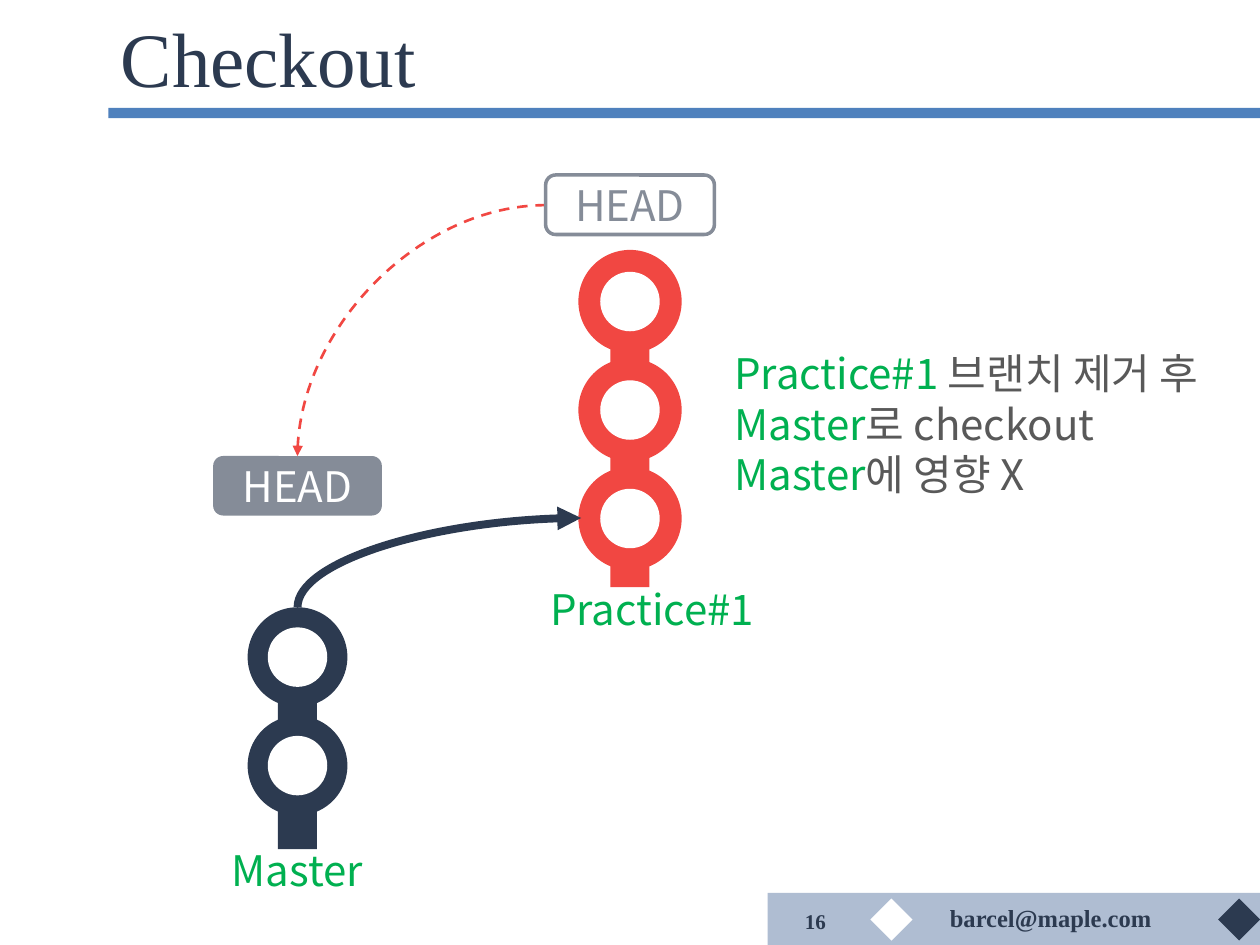
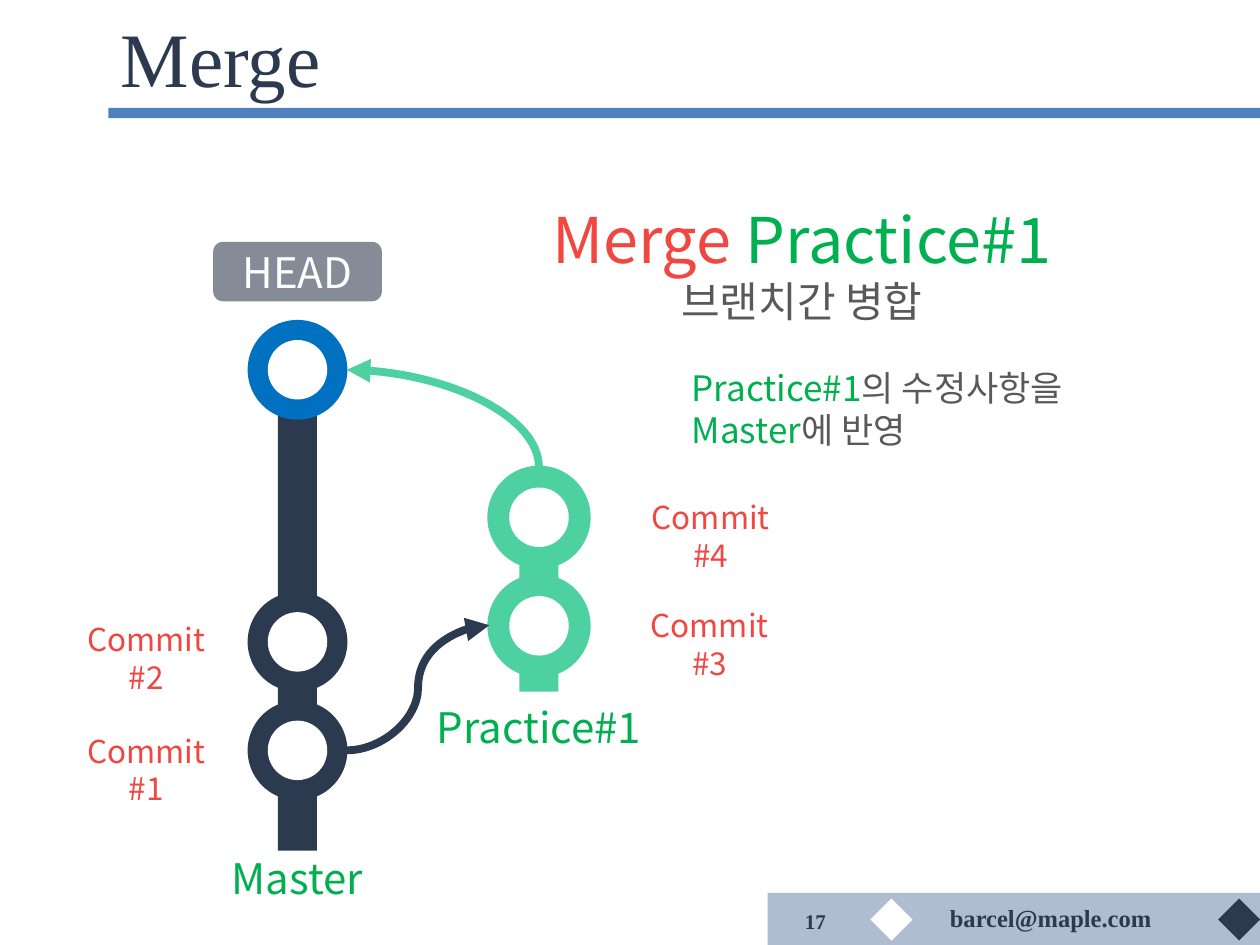
from dataclasses import dataclass
from lxml import etree
from pptx import Presentation
from pptx.dml.color import RGBColor
from pptx.enum.dml import MSO_LINE
from pptx.enum.shapes import MSO_CONNECTOR, MSO_SHAPE
from pptx.enum.text import MSO_ANCHOR, PP_ALIGN
from pptx.oxml.ns import qn
from pptx.util import Pt

RECTANGLE, ROUNDED, OVAL = MSO_SHAPE.RECTANGLE, MSO_SHAPE.ROUNDED_RECTANGLE, MSO_SHAPE.OVAL
LEFT, CENTER, RIGHT = PP_ALIGN.LEFT, PP_ALIGN.CENTER, PP_ALIGN.RIGHT
TOP, MIDDLE = MSO_ANCHOR.TOP, MSO_ANCHOR.MIDDLE
CURVE, DASH = MSO_CONNECTOR.CURVE, MSO_LINE.DASH


@dataclass(frozen=True)
class Theme:
    navy: str = "2C3A50"
    rule: str = "4F81BD"
    band: str = "788FB4"
    white: str = "FFFFFF"
    red: str = "F14742"
    mint: str = "4ED1A1"
    blue: str = "0070C0"
    green: str = "00B050"
    gray: str = "858C98"
    text: str = "595959"
    serif: str = "Times New Roman"
    sans: str = "Noto Sans CJK KR"
    title_size: int = 44
    big_size: int = 36
    label_size: int = 24
    note_size: int = 20
    commit_size: int = 18
    email_size: int = 14
    number_size: int = 12


theme = Theme()

# Content: all lengths in points
EMAIL = "barcel@maple.com"
MASTER_X = 170
NODE, HOLE, STEM = 57, 34, 22.4
STEP = 62  # distance between neighbouring commits

# chain: centre x, stem top and bottom, colour, outline width, commits (centre y, colour)
# label: text, centre x, top, width, size, colour
# note: left, top, width, alignment, lines of (size, runs)
# arrow: start, end, route, colour, width, dashed
SLIDES = [
    {
        "title": "Checkout", "number": 16,
        "chains": [
            (MASTER_X, 353.5, 485.3, theme.navy, 0,
             [(375.5 + STEP * i, theme.navy) for i in range(2)]),
            (360, 149, 335.5, theme.red, 2,
             [(172.3 + STEP * i, theme.red) for i in range(3)]),
        ],
        "labels": [
            ("Master", MASTER_X, 478.8, 119, theme.label_size, theme.green),
            ("Practice#1", 372.6, 329.8, 145, theme.label_size, theme.green),
        ],
        "notes": [
            (412.6, 195.1, 305, LEFT, [
                (theme.label_size, [("Practice#1 ", theme.green), ("브랜치 제거 후", theme.text)]),
                (theme.label_size, [("Master", theme.green), ("로 checkout", theme.text)]),
                (theme.label_size, [("Master", theme.green), ("에 영향 X", theme.text)]),
            ]),
        ],
        "heads": [(360, 100, False), (MASTER_X, 260.6, True)],
        "arrows": [
            ((MASTER_X, 347), (332, 296), "up", theme.navy, 4.5, False),
            ((312, 117.2), (MASTER_X, 260.6), "across", theme.red, 1.5, True),
        ],
    },
    {
        "title": "Merge", "number": 17,
        "chains": [
            (MASTER_X, 185, 486.2, theme.navy, 0,
             [(366.8, theme.navy), (366.8 + STEP, theme.navy), (211.3, theme.blue)]),
            (308, 272, 395.2, theme.mint, 2,
             [(295.6 + STEP * i, theme.mint) for i in range(2)]),
        ],
        "labels": [
            ("Master", MASTER_X, 483.8, 119, theme.label_size, theme.green),
            ("Practice#1", 308, 397.4, 145, theme.label_size, theme.green),
            ("Commit #3", 405.5, 342.8, 90, theme.commit_size, theme.red),
            ("Commit #4", 406.2, 281, 90, theme.commit_size, theme.red),
            ("Commit #1", 83.7, 414.5, 90, theme.commit_size, theme.red),
            ("Commit #2", 83.7, 350.8, 90, theme.commit_size, theme.red),
        ],
        "notes": [
            (298.2, 110.9, 320, CENTER, [
                (theme.big_size, [("Merge ", theme.red), ("Practice#1", theme.green)]),
                (theme.label_size, [("브랜치간 병합", theme.text)]),
            ]),
            (388.1, 205.9, 245, LEFT, [
                (theme.note_size, [("Practice#1", theme.green), ("의 수정사항을", theme.text)]),
                (theme.note_size, [("Master", theme.green), ("에 반영", theme.text)]),
            ]),
        ],
        "heads": [(MASTER_X, 138.2, True)],
        "arrows": [
            ((308, 267), (198.2, 211.3), "up", theme.mint, 4.5, False),
            ((198.2, 428.8), (279.6, 357.3), "bend", theme.navy, 4.5, False),
        ],
    },
]


# Drawing helpers
def color(value):
    return RGBColor.from_string(value)


def add_block(slide, kind, left, top, width, height, fill=None, line=None, line_width=0):
    shape = slide.shapes.add_shape(kind, Pt(left), Pt(top), Pt(width), Pt(height))
    shape.shadow.inherit = False
    if fill:
        shape.fill.solid()
        shape.fill.fore_color.rgb = color(fill)
    else:
        shape.fill.background()
    if line and line_width:
        shape.line.color.rgb = color(line)
        shape.line.width = Pt(line_width)
    else:
        shape.line.fill.background()
    return shape


def write(shape, lines, font, align=LEFT, anchor=TOP, bold=False):
    """Fill a shape with lines of (size, [(text, colour), ...])."""
    frame = shape.text_frame
    frame.word_wrap = True
    frame.vertical_anchor = anchor
    for index, (size, runs) in enumerate(lines):
        paragraph = frame.paragraphs[0] if index == 0 else frame.add_paragraph()
        paragraph.alignment = align
        paragraph.font.name = font
        paragraph.font.size = Pt(size)
        paragraph.font.bold = bold
        defaults = paragraph._p.pPr.find(qn("a:defRPr"))
        etree.SubElement(defaults, qn("a:ea")).set("typeface", font)
        for text, run_color in runs:
            run = paragraph.add_run()
            run.text = text
            run.font.color.rgb = color(run_color)


def add_text(slide, left, top, width, height, lines, font, **style):
    box = slide.shapes.add_textbox(Pt(left), Pt(top), Pt(width), Pt(height))
    write(box, lines, font, **style)


def add_arrow(slide, start, end, route, line_color, width, dashed):
    (x1, y1), (x2, y2) = start, end
    if route == "up":  # leaves vertically: lay it out sideways, then turn it by 90 degrees
        middle_x, middle_y = (x1 + x2) / 2, (y1 + y2) / 2
        half_x, half_y = (x2 - x1) / 2, (y2 - y1) / 2
        x1, y1 = middle_x - half_y, middle_y + half_x
        x2, y2 = middle_x + half_y, middle_y - half_x
    connector = slide.shapes.add_connector(CURVE, Pt(x1), Pt(y1), Pt(x2), Pt(y2))
    connector.line.color.rgb = color(line_color)
    connector.line.width = Pt(width)
    if dashed:
        connector.line.dash_style = DASH
    properties = connector.element.spPr
    if route == "up":
        properties.find(qn("a:xfrm")).set("rot", "5400000")
    if route != "bend":
        properties.find(qn("a:prstGeom")).set("prst", "curvedConnector2")
    etree.SubElement(properties.find(qn("a:ln")), qn("a:tailEnd")).set("type", "triangle")
    etree.SubElement(properties, qn("a:effectLst"))


def add_chain(slide, x, top, bottom, stem_color, outline, commits):
    add_block(slide, RECTANGLE, x - STEM / 2, top, STEM, bottom - top, stem_color)
    for y, ring in commits:
        for size, fill, line_width in ((NODE, ring, outline), (HOLE, theme.white, 0)):
            add_block(slide, OVAL, x - size / 2, y - size / 2, size, size,
                      fill, ring, line_width)


def add_head(slide, x, top, filled):
    fill, ink = (theme.gray, theme.white) if filled else (None, theme.gray)
    shape = add_block(slide, ROUNDED, x - 48.2, top, 96.4, 34, fill,
                      theme.gray, 0 if filled else 2)
    write(shape, [(theme.label_size, [("HEAD", ink)])], theme.sans, CENTER, MIDDLE)


def add_frame(slide, title, number):
    """Title, rule and footer band shared by the slides."""
    add_block(slide, RECTANGLE, 62, 61.7, 658, 5.8, theme.rule)
    band = add_block(slide, RECTANGLE, 438.7, 510.2, 281.3, 29.8, theme.band)
    fill = band.element.spPr.find(qn("a:solidFill"))
    etree.SubElement(fill[0], qn("a:alpha")).set("val", "59000")
    for left, diamond_color in ((699.6, theme.navy), (500.9, theme.white)):
        add_block(slide, RECTANGLE, left, 517, 17, 17, diamond_color).rotation = 45
    add_text(slide, 535.7, 512.6, 140, 24.5, [(theme.email_size, [(EMAIL, theme.navy)])],
             theme.serif, bold=True)
    add_text(slide, 445, 514, 34, 24.5, [(theme.number_size, [(str(number), theme.navy)])],
             theme.serif, align=RIGHT, anchor=MIDDLE, bold=True)
    add_text(slide, 62, 5, 658, 55.4, [(theme.title_size, [(title, theme.navy)])],
             theme.serif, anchor=MIDDLE)


# Build the slides
presentation = Presentation()
presentation.slide_width, presentation.slide_height = Pt(720), Pt(540)
for content in SLIDES:
    slide = presentation.slides.add_slide(presentation.slide_layouts[6])
    add_frame(slide, content["title"], content["number"])
    for chain in content["chains"]:
        add_chain(slide, *chain)
    for text, x, top, width, size, ink in content["labels"]:
        add_text(slide, x - width / 2, top, width, size * 1.5, [(size, [(text, ink)])],
                 theme.sans, align=CENTER)
    for left, top, width, align, lines in content["notes"]:
        height = sum(size * 1.3 for size, runs in lines)
        add_text(slide, left, top, width, height, lines, theme.sans, align=align)
    for arrow in content["arrows"]:
        add_arrow(slide, *arrow)
    for head in content["heads"]:
        add_head(slide, *head)
presentation.save("out.pptx")
